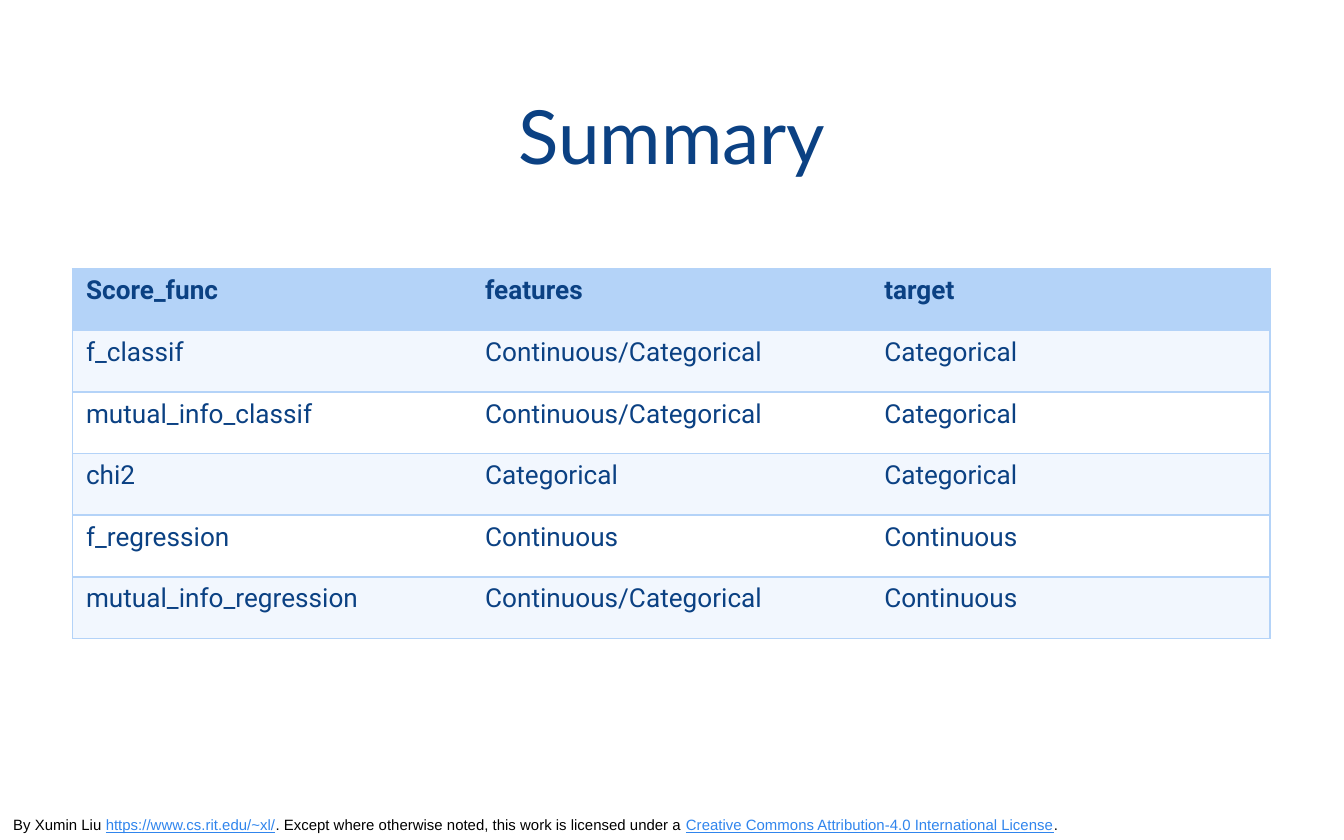
from dataclasses import dataclass

from lxml import etree
from pptx import Presentation
from pptx.dml.color import RGBColor
from pptx.enum.text import MSO_ANCHOR, PP_ALIGN
from pptx.oxml.ns import qn
from pptx.util import Emu, Inches, Pt

BOTTOM = MSO_ANCHOR.BOTTOM
CENTER = PP_ALIGN.CENTER


@dataclass(frozen=True)
class Theme:
    navy: str = "0B4183"
    header: str = "B4D3F8"
    band: str = "F2F7FE"
    white: str = "FFFFFF"
    black: str = "000000"
    link: str = "3085ED"
    title_font: str = "Lato"
    table_font: str = "Roboto"
    footer_font: str = "Arial"
    title_size: int = 40
    table_size: int = 14
    footer_size: int = 8
    border_width: int = 1


THEME = Theme()

SCORE_FUNCTIONS = [
    ("Score_func", "features", "target"),
    ("f_classif", "Continuous/Categorical", "Categorical"),
    ("mutual_info_classif", "Continuous/Categorical", "Categorical"),
    ("chi2", "Categorical", "Categorical"),
    ("f_regression", "Continuous", "Continuous"),
    ("mutual_info_regression", "Continuous/Categorical", "Continuous"),
]

# Each part of the licence line, and whether it looks like a link
LICENCE_LINE = [
    ("By Xumin Liu ", False),
    ("https://www.cs.rit.edu/~xl/", True),
    (". Except where otherwise noted, this work is licensed under a\u00a0", False),
    ("Creative Commons Attribution-4.0 International License", True),
    (".", False),
]


def set_font(font, name, size, color, bold=False):
    font.name = name
    font.size = Pt(size)
    font.bold = bold
    font.color.rgb = RGBColor.from_string(color)


def add_bottom_text(slide, box, vertical_inset):
    """Add a wrapping, bottom-anchored text box and return its paragraph."""
    frame = slide.shapes.add_textbox(*box).text_frame
    frame.word_wrap = True
    frame.vertical_anchor = BOTTOM
    frame.margin_top = frame.margin_bottom = vertical_inset
    return frame.paragraphs[0]


def add_title(slide, box):
    paragraph = add_bottom_text(slide, box, Inches(0.1))
    paragraph.text = "Summary"
    paragraph.alignment = CENTER
    set_font(paragraph.font, THEME.title_font, THEME.title_size, THEME.navy)


def add_licence(slide, box):
    paragraph = add_bottom_text(slide, box, Inches(0.05))
    for text, is_link in LICENCE_LINE:
        run = paragraph.add_run()
        run.text = text
        run.font.underline = is_link
        color = THEME.link if is_link else THEME.black
        set_font(run.font, THEME.footer_font, THEME.footer_size, color)


def set_borders(cell, visible_sides):
    """Draw the named sides (L, R, T, B) and hide the others."""
    properties = cell._tc.get_or_add_tcPr()
    for position, side in enumerate("LRTB"):
        line = etree.Element(qn(f"a:ln{side}"), w=str(Pt(THEME.border_width)))
        if side in visible_sides:
            fill = etree.SubElement(line, qn("a:solidFill"))
            etree.SubElement(fill, qn("a:srgbClr"), val=THEME.header)
        else:
            etree.SubElement(line, qn("a:noFill"))
        properties.insert(position, line)


def add_score_table(slide, box):
    rows, columns = len(SCORE_FUNCTIONS), len(SCORE_FUNCTIONS[0])
    table = slide.shapes.add_table(rows, columns, *box).table
    for row_index, texts in enumerate(SCORE_FUNCTIONS):
        is_header = row_index == 0
        band = THEME.band if row_index % 2 else THEME.white
        for column_index, text in enumerate(texts):
            cell = table.cell(row_index, column_index)
            cell.fill.solid()
            cell.fill.fore_color.rgb = RGBColor.from_string(
                THEME.header if is_header else band)
            left = "L" if column_index == 0 else ""
            right = "R" if column_index == columns - 1 else ""
            set_borders(cell, left + right + "TB")
            paragraph = cell.text_frame.paragraphs[0]
            paragraph.text = text
            set_font(paragraph.font, THEME.table_font, THEME.table_size,
                     THEME.navy, bold=is_header)


def main():
    presentation = Presentation()
    presentation.slide_width = Inches(10)
    presentation.slide_height = Inches(6.25)
    slide = presentation.slides.add_slide(presentation.slide_layouts[6])

    def area(left, top, width, height):
        """Turn shares of the slide's size into a box."""
        across, down = presentation.slide_width, presentation.slide_height
        return (Emu(int(left * across)), Emu(int(top * down)),
                Emu(int(width * across)), Emu(int(height * down)))

    add_licence(slide, area(0, 0.963, 0.81, 0.037))
    add_title(slide, area(0.03, 0.059, 0.94, 0.17))
    add_score_table(slide, area(0.054, 0.32, 0.891, 0.44))
    presentation.save("out.pptx")


if __name__ == "__main__":
    main()
